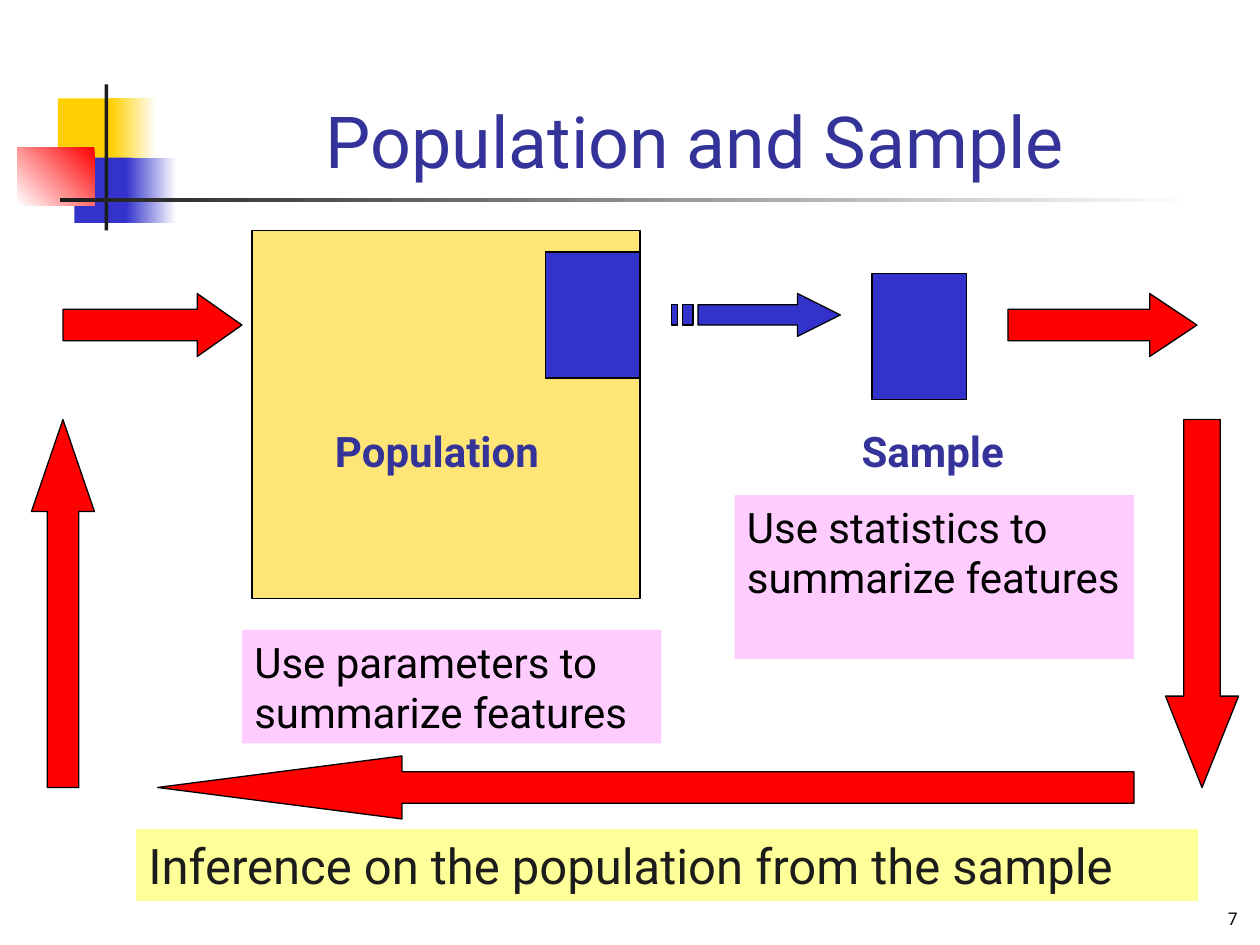
from pptx import Presentation
from pptx.dml.color import RGBColor
from pptx.enum.shapes import MSO_SHAPE
from pptx.enum.text import MSO_ANCHOR, PP_ALIGN
from pptx.util import Inches, Pt

RECTANGLE = MSO_SHAPE.RECTANGLE
RIGHT, LEFT = MSO_SHAPE.RIGHT_ARROW, MSO_SHAPE.LEFT_ARROW
UP, DOWN = MSO_SHAPE.UP_ARROW, MSO_SHAPE.DOWN_ARROW
BOTTOM = MSO_ANCHOR.BOTTOM
ALIGN_LEFT, ALIGN_CENTER, ALIGN_RIGHT = PP_ALIGN.LEFT, PP_ALIGN.CENTER, PP_ALIGN.RIGHT

FONT = "Roboto"
BLACK = RGBColor(0x00, 0x00, 0x00)
WHITE = RGBColor(0xFF, 0xFF, 0xFF)
CHARCOAL = RGBColor(0x1C, 0x1C, 0x1C)
GOLD = RGBColor(0xFF, 0xCF, 0x01)
BLUE = RGBColor(0x33, 0x33, 0xCC)
NAVY = RGBColor(0x33, 0x33, 0x99)
RED = RGBColor(0xFF, 0x00, 0x00)
SAND = RGBColor(0xFF, 0xE5, 0x75)
PINK = RGBColor(0xFF, 0xCC, 0xFF)
YELLOW = RGBColor(0xFF, 0xFF, 0x99)


def paint(shape, color, outlined):
    shape.shadow.inherit = False
    shape.fill.solid()
    shape.fill.fore_color.rgb = color
    if outlined:
        shape.line.color.rgb = BLACK
        shape.line.width = Pt(0.75)
    else:
        shape.line.fill.background()


def add_block(page, place, color, outlined=False):
    block = page.shapes.add_shape(RECTANGLE, *map(Inches, place))
    paint(block, color, outlined)
    return block


def add_fade(page, place, start, end, angle=180):
    fill = add_block(page, place, start).fill
    fill.gradient()
    fill.gradient_angle = angle
    for stop, color in zip(fill.gradient_stops, (start, end)):
        stop.color.rgb = color


def add_arrow(page, kind, place, head):
    arrow = page.shapes.add_shape(kind, *map(Inches, place))
    arrow.adjustments[0] = 0.5
    arrow.adjustments[1] = head
    paint(arrow, RED, True)


def add_striped_arrow(page):
    top, bottom = 2.42, 2.58
    outlines = [
        [(5.54, top), (6.33, top), (6.33, 2.33), (6.67, 2.5),
         (6.33, 2.67), (6.33, bottom), (5.54, bottom)],
    ]
    for left, right in ((5.33, 5.38), (5.42, 5.5)):
        outlines.append([(left, top), (right, top), (right, bottom), (left, bottom)])
    outlines = [[(Inches(x), Inches(y)) for x, y in points] for points in outlines]
    builder = page.shapes.build_freeform(*outlines[0][0])
    for index, points in enumerate(outlines):
        if index:
            builder.move_to(*points[0])
        builder.add_line_segments(points[1:], close=True)
    paint(builder.convert_to_shape(), BLUE, True)


def write(frame, text, size, color, bold=False, align=ALIGN_LEFT):
    frame.word_wrap = True
    para = frame.paragraphs[0]
    para.alignment = align
    span = para.add_run()
    span.text = text
    span.font.name = FONT
    span.font.size = Pt(size)
    span.font.bold = bold
    span.font.color.rgb = color


def add_text(page, place, text, size, color, fill=None, bold=False, align=ALIGN_LEFT):
    box = page.shapes.add_textbox(*map(Inches, place))
    if fill is not None:
        box.fill.solid()
        box.fill.fore_color.rgb = fill
    write(box.text_frame, text, size, color, bold, align)
    return box


def add_title(page, text):
    title = page.shapes.title
    title.left, title.top, title.width, title.height = map(Inches, (1.26, 0.25, 8.52, 1.25))
    title.text_frame.vertical_anchor = BOTTOM
    write(title.text_frame, text, 41, NAVY, align=ALIGN_CENTER)


def add_ornament(page):
    add_block(page, (0.46, 0.78, 0.48, 0.52), GOLD)
    add_fade(page, (0.88, 0.78, 0.36, 0.52), WHITE, GOLD)
    add_block(page, (0.59, 1.25, 0.46, 0.52), BLUE)
    add_fade(page, (1, 1.25, 0.4, 0.52), WHITE, BLUE)
    add_fade(page, (0.14, 1.17, 0.61, 0.46), RED, WHITE, 225)
    add_block(page, (0.83, 0.67, 0.03, 1.16), CHARCOAL)
    add_fade(page, (0.48, 1.57, 9, 0.03), WHITE, CHARCOAL)


def main():
    deck = Presentation()
    deck.slide_width, deck.slide_height = Inches(10), Inches(7.5)
    page = deck.slides.add_slide(deck.slide_layouts[5])

    add_ornament(page)
    add_title(page, "Population and Sample")

    add_block(page, (2, 1.83, 3.08, 2.92), SAND, True)
    for left, top in ((4.33, 2), (6.92, 2.17)):
        add_block(page, (left, top, 0.75, 1), BLUE, True)
    add_text(page, (2.56, 3.33, 2.02, 0.5), "Population", 24, NAVY, bold=True)
    add_text(page, (6.74, 3.33, 1.42, 0.5), "Sample", 24, NAVY, bold=True)

    add_text(page, (1.92, 5, 3.33, 0.9), "Use parameters to summarize features", 24, BLACK, PINK)
    add_text(page, (5.83, 3.93, 3.17, 1.3), "Use statistics to summarize features", 24, BLACK, PINK)
    add_text(page, (1.08, 6.58, 8.43, 0.57), "Inference on the population from the sample",
             28, CHARCOAL, YELLOW)

    add_striped_arrow(page)
    add_arrow(page, RIGHT, (8, 2.33, 1.5, 0.5), 0.75)
    add_arrow(page, DOWN, (9.25, 3.33, 0.58, 2.92), 1.25)
    add_arrow(page, LEFT, (1.25, 6, 7.75, 0.5), 3.88)
    add_arrow(page, UP, (0.25, 3.33, 0.5, 2.92), 1.46)
    add_arrow(page, RIGHT, (0.5, 2.33, 1.42, 0.5), 0.71)

    number = add_text(page, (7.84, 6.91, 2.08, 0.51), "7", 10, BLACK, align=ALIGN_RIGHT)
    number.text_frame.vertical_anchor = BOTTOM
    deck.save("out.pptx")


if __name__ == "__main__":
    main()
